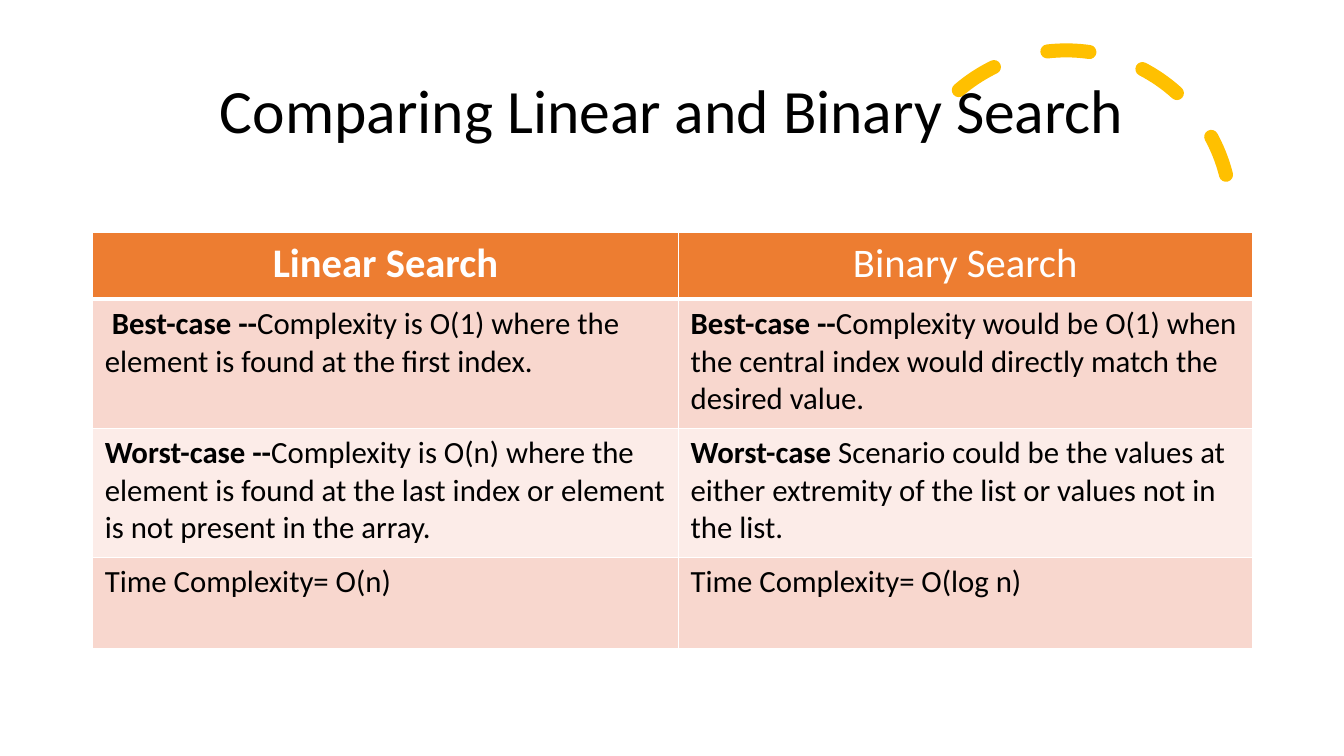
import dataclasses

import lxml.etree
import pptx
import pptx.dml.color
import pptx.enum.dml
import pptx.enum.shapes
import pptx.enum.text
import pptx.oxml.ns
import pptx.util

Inches = pptx.util.Inches
CENTER = pptx.enum.text.PP_ALIGN.CENTER


@dataclasses.dataclass(frozen=True)
class Theme:
    font: str = "Calibri"
    black: str = "000000"
    white: str = "FFFFFF"
    accent: str = "FFC000"
    header: str = "ED7D31"
    bands: tuple = ("F8D7CE", "FCECE8")
    title_size: int = 44
    header_size: int = 29
    body_size: int = 22


THEME = Theme()

# Each cell is a list of (text, bold) runs
HEADERS = [[("Linear Search", True)], [("Binary Search", False)]]
BODY = [
    [
        [("\u00a0", False), ("Best-case --", True),
         ("Complexity is O(1) where the element is found at the first index.", False)],
        [("Best-case --", True),
         ("Complexity would be O(1) when the central index would directly match "
          "the desired value.", False)],
    ],
    [
        [("Worst-case --", True),
         ("Complexity is O(n) where the element is found at the last index or element "
          "is not present in the array.", False)],
        [("Worst-case", True),
         (" Scenario could be the values at either extremity of the list or values "
          "not in the list.", False)],
    ],
    [[("Time Complexity= O(n)", False)], [("Time Complexity= O(log n)", False)]],
]
COLUMN_WIDTHS = (5.81, 5.69)
ROW_HEIGHTS = (0.66, 1.28, 1.28, 0.91)


def rgb(color):
    return pptx.dml.color.RGBColor.from_string(color)


def write_text(frame, runs, *, size, color=THEME.black, align=None, line_spacing=None):
    """Write (text, bold) runs into the first paragraph of a text frame."""
    frame.word_wrap = True
    paragraph = frame.paragraphs[0]
    paragraph.alignment = align
    paragraph.line_spacing = line_spacing
    for text, bold in runs:
        run = paragraph.add_run()
        run.text = text
        run.font.name = THEME.font
        run.font.size = pptx.util.Pt(size)
        run.font.bold = bold
        run.font.color.rgb = rgb(color)


def add_title(slide, text):
    box = slide.shapes.add_textbox(Inches(0.92), Inches(0.4), Inches(11.5), Inches(1.45))
    box.text_frame.vertical_anchor = pptx.enum.text.MSO_ANCHOR.MIDDLE
    write_text(box.text_frame, [(text, False)], size=THEME.title_size,
               align=CENTER, line_spacing=0.9)


def add_dashed_arc(slide):
    arc = slide.shapes.add_shape(pptx.enum.shapes.MSO_SHAPE.ARC, Inches(8.94), Inches(0.5),
                                 Inches(3.27), Inches(3.27))
    arc.adjustments[0] = 146.129
    arc.adjustments[1] = 0
    arc.rotation = 345.8
    arc.shadow.inherit = False
    arc.fill.background()
    arc.line.color.rgb = rgb(THEME.accent)
    arc.line.width = pptx.util.Pt(10)
    arc.line.dash_style = pptx.enum.dml.MSO_LINE.DASH
    arc.line._get_or_add_ln().set("cap", "rnd")


def set_borders(cell, *, top=1, bottom=1):
    """Draw white cell borders; widths are in points."""
    qn = pptx.oxml.ns.qn
    properties = cell._tc.get_or_add_tcPr()
    widths = {"a:lnL": 1, "a:lnR": 1, "a:lnT": top, "a:lnB": bottom}
    for index, (tag, width) in enumerate(widths.items()):
        line = properties.makeelement(qn(tag), {"w": str(pptx.util.Pt(width))})
        properties.insert(index, line)
        fill = lxml.etree.SubElement(line, qn("a:solidFill"))
        lxml.etree.SubElement(fill, qn("a:srgbClr"), val=THEME.white)


def fill_cell(cell, runs, fill, *, top=1, bottom=1, **text_format):
    cell.margin_left = cell.margin_right = Inches(0.12)
    cell.margin_top = cell.margin_bottom = Inches(0.06)
    cell.fill.solid()
    cell.fill.fore_color.rgb = rgb(fill)
    set_borders(cell, top=top, bottom=bottom)
    write_text(cell.text_frame, runs, **text_format)


def add_comparison_table(slide):
    table = slide.shapes.add_table(
        len(ROW_HEIGHTS), len(COLUMN_WIDTHS), Inches(0.92), Inches(2.31),
        Inches(sum(COLUMN_WIDTHS)), Inches(sum(ROW_HEIGHTS))).table
    for column, width in zip(table.columns, COLUMN_WIDTHS):
        column.width = Inches(width)
    for row, height in zip(table.rows, ROW_HEIGHTS):
        row.height = Inches(height)

    # Header row with a heavier rule below it
    for cell, runs in zip(table.rows[0].cells, HEADERS):
        fill_cell(cell, runs, THEME.header, bottom=3, size=THEME.header_size,
                  color=THEME.white, align=CENTER)

    # Banded body rows
    for index, row_runs in enumerate(BODY):
        for cell, runs in zip(table.rows[index + 1].cells, row_runs):
            fill_cell(cell, runs, THEME.bands[index % 2], top=3 if index == 0 else 1,
                      size=THEME.body_size)


def main():
    presentation = pptx.Presentation()
    presentation.slide_width = Inches(13.33)
    presentation.slide_height = Inches(7.5)
    slide = presentation.slides.add_slide(presentation.slide_layouts[6])
    add_dashed_arc(slide)
    add_title(slide, "Comparing Linear and Binary Search")
    add_comparison_table(slide)
    presentation.save("out.pptx")


main()
